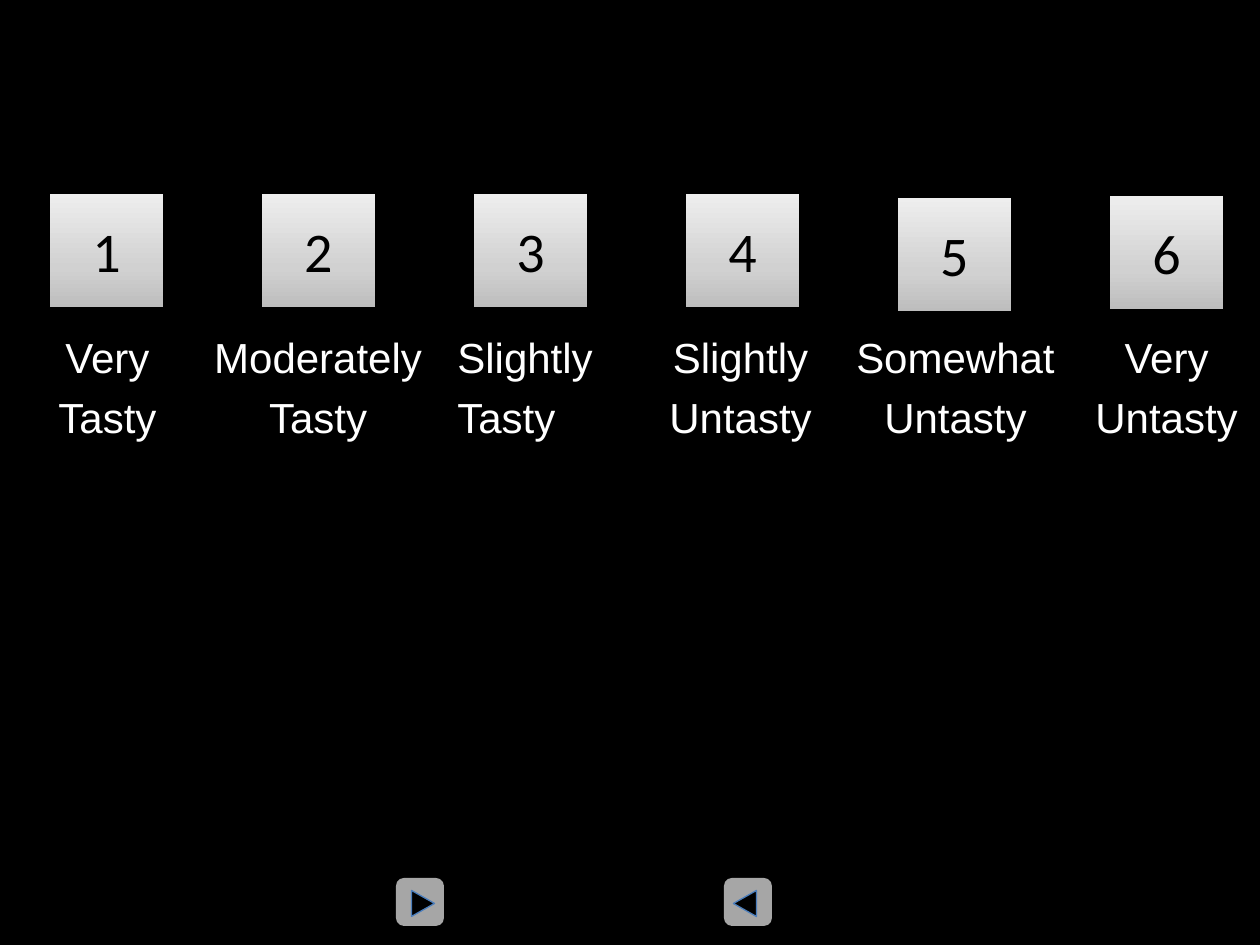
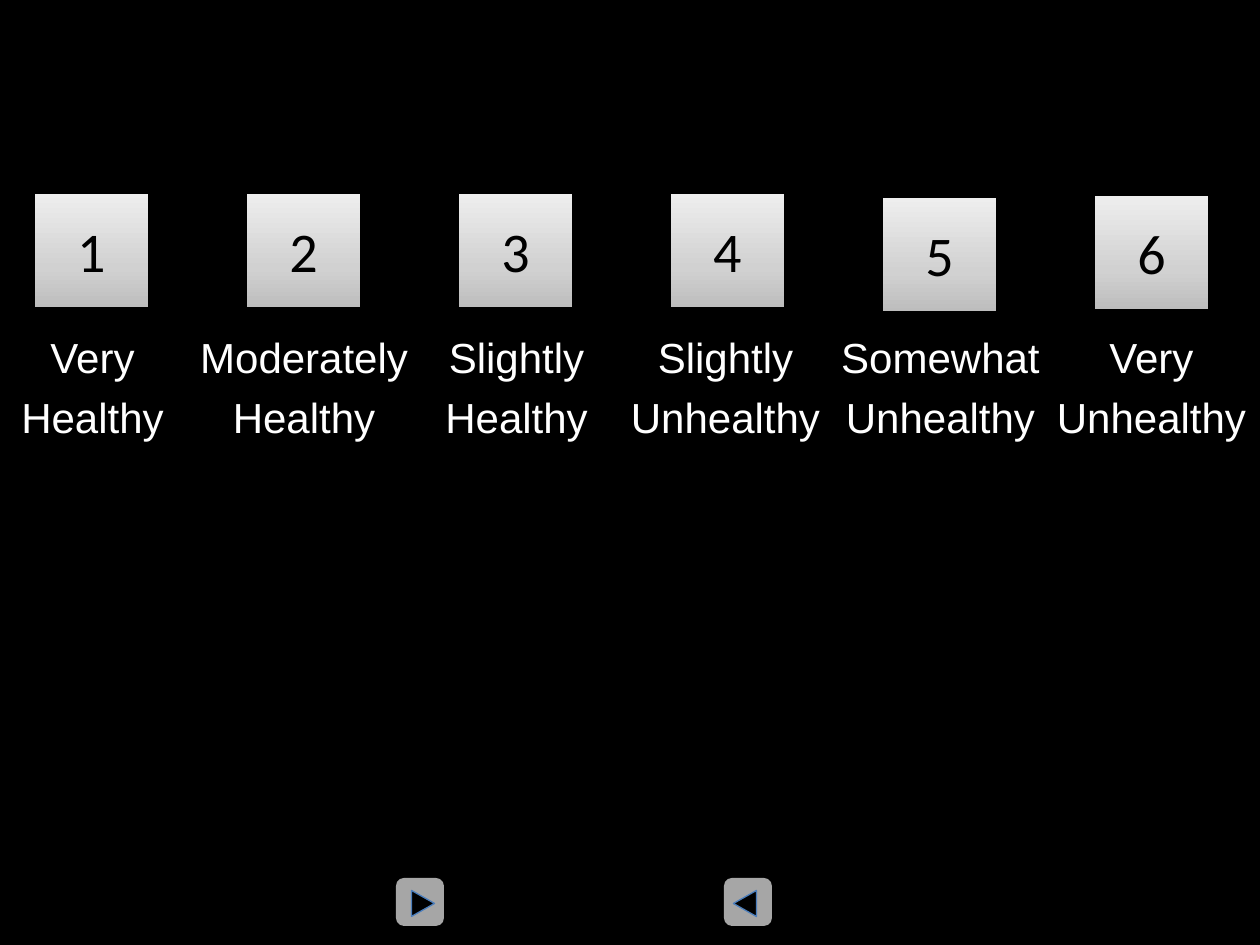
"""Build two six-point rating scales, for taste and for healthiness."""
import copy
from dataclasses import dataclass

import pptx
import pptx.dml.color
import pptx.enum.shapes
import pptx.enum.text
import pptx.oxml.ns
import pptx.util

RGBColor = pptx.dml.color.RGBColor
MSO_SHAPE = pptx.enum.shapes.MSO_SHAPE
PP_ALIGN = pptx.enum.text.PP_ALIGN

BLACK = RGBColor(0x00, 0x00, 0x00)
WHITE = RGBColor(0xFF, 0xFF, 0xFF)
BUTTON_GREY = RGBColor(0xA6, 0xA6, 0xA6)
ARROW_BLUE = RGBColor(0x4B, 0x7E, 0xBC)
KEY_GRADIENT = (
    (0.0, RGBColor(0xBD, 0xBD, 0xBD)),
    (0.35, RGBColor(0xD1, 0xD1, 0xD1)),
    (1.0, RGBColor(0xEE, 0xEE, 0xEE)),
)

PX_PER_INCH = 126
KEY_SIZE = 115
KEY_PITCH = 212
KEY_TOPS = (193, 193, 193, 193, 197, 195)
LABEL_TOP, LABEL_HEIGHT = 315, 134
BUTTON_TOP, BUTTON_SIZE = 878, 48
ARROW_TOP, ARROW_WIDTH, ARROW_HEIGHT = 892, 26, 23


@dataclass(frozen=True)
class Answer:
    degree: str
    quality: str
    left: int
    width: int
    align: PP_ALIGN = PP_ALIGN.CENTER


@dataclass(frozen=True)
class Scale:
    first_key_left: int
    answers: tuple[Answer, ...]


@dataclass(frozen=True)
class Button:
    left: int
    arrow_left: int
    rotation: int


SCALES = (
    Scale(49, (
        Answer("Very", "Tasty", 45, 125),
        Answer("Moderately", "Tasty", 200, 236),
        Answer("Slightly", "Tasty", 445, 163, PP_ALIGN.LEFT),
        Answer("Slightly", "Untasty", 656, 169),
        Answer("Somewhat", "Untasty", 842, 227),
        Answer("Very", "Untasty", 1082, 169),
    )),
    Scale(34, (
        Answer("Very", "Healthy", 8, 169),
        Answer("Moderately", "Healthy", 186, 236),
        Answer("Slightly", "Healthy", 432, 169),
        Answer("Slightly", "Unhealthy", 617, 217),
        Answer("Somewhat", "Unhealthy", 827, 227),
        Answer("Very", "Unhealthy", 1043, 217),
    )),
)
BUTTONS = (Button(396, 410, 90), Button(724, 732, 270))


def px(length: int) -> pptx.util.Emu:
    return pptx.util.Emu(round(length * 914400 / PX_PER_INCH))


def add_plain_shape(shapes, kind: MSO_SHAPE, left: int, top: int, width: int, height: int):
    shape = shapes.add_shape(kind, px(left), px(top), px(width), px(height))
    shape.shadow.inherit = False
    return shape


def set_font(paragraph, name: str, size: int, color: RGBColor) -> None:
    paragraph.font.name = name
    paragraph.font.size = pptx.util.Pt(size)
    paragraph.font.color.rgb = color


def outline(shape, color: RGBColor) -> None:
    shape.line.color.rgb = color
    shape.line.width = pptx.util.Pt(0.75)


def fill_key(key) -> None:
    key.fill.gradient()
    key.fill.gradient_angle = 90
    stop_list = key.element.find(".//" + pptx.oxml.ns.qn("a:gsLst"))
    stop_list.insert(1, copy.deepcopy(stop_list[0]))
    for stop, (position, color) in zip(key.fill.gradient_stops, KEY_GRADIENT):
        stop.position = position
        stop.color.rgb = color


def add_key(slide, number: int, left: int, top: int) -> None:
    key = add_plain_shape(slide.shapes, MSO_SHAPE.RECTANGLE, left, top, KEY_SIZE, KEY_SIZE)
    fill_key(key)
    outline(key, BLACK)
    key.text_frame.vertical_anchor = pptx.enum.text.MSO_ANCHOR.MIDDLE
    digit = key.text_frame.paragraphs[0]
    digit.text = str(number)
    digit.alignment = PP_ALIGN.CENTER
    set_font(digit, "Calibri", 32, BLACK)


def add_label(slide, answer: Answer) -> None:
    label = slide.shapes.add_textbox(
        px(answer.left), px(LABEL_TOP), px(answer.width), px(LABEL_HEIGHT))
    frame = label.text_frame
    frame.word_wrap = False
    frame.auto_size = pptx.enum.text.MSO_AUTO_SIZE.SHAPE_TO_FIT_TEXT
    frame.text = f"{answer.degree}\n{answer.quality}"
    for line in frame.paragraphs:
        line.alignment = answer.align
        line.line_spacing = 1.2
        set_font(line, "Arial", 24, WHITE)


def add_button(slide, button: Button):
    group = slide.shapes.add_group_shape()
    plate = add_plain_shape(group.shapes, MSO_SHAPE.ROUNDED_RECTANGLE,
                            button.left, BUTTON_TOP, BUTTON_SIZE, BUTTON_SIZE)
    plate.fill.solid()
    plate.fill.fore_color.rgb = BUTTON_GREY
    plate.line.fill.background()
    arrow = add_plain_shape(group.shapes, MSO_SHAPE.ISOSCELES_TRIANGLE,
                            button.arrow_left, ARROW_TOP, ARROW_WIDTH, ARROW_HEIGHT)
    arrow.rotation = button.rotation
    arrow.fill.solid()
    arrow.fill.fore_color.rgb = BLACK
    outline(arrow, ARROW_BLUE)
    return group


def add_scale(slide, scale: Scale) -> None:
    for index, (answer, top) in enumerate(zip(scale.answers, KEY_TOPS)):
        add_key(slide, index + 1, scale.first_key_left + index * KEY_PITCH, top)
        add_label(slide, answer)


def set_up_master(master, first_slide) -> None:
    master.background.fill.solid()
    master.background.fill.fore_color.rgb = BLACK
    for button in BUTTONS:
        master.shapes.element.append(add_button(first_slide, button).element)


def main() -> None:
    deck = pptx.Presentation()
    deck.slide_width = px(1260)
    deck.slide_height = px(945)
    blank = deck.slide_layouts.get_by_name("Blank")
    slides = [deck.slides.add_slide(blank) for _ in SCALES]
    set_up_master(deck.slide_master, slides[0])
    for slide, scale in zip(slides, SCALES):
        add_scale(slide, scale)
    deck.save("out.pptx")


if __name__ == "__main__":
    main()
